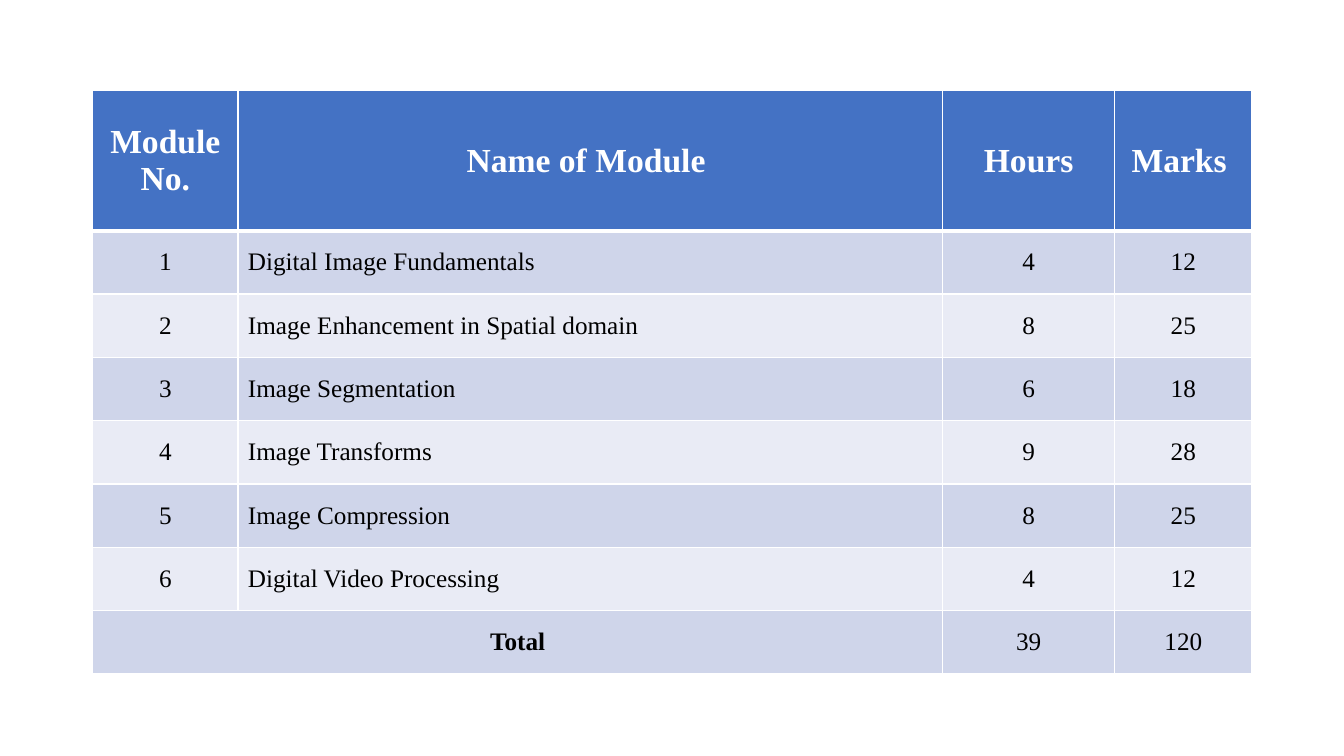
from lxml.etree import SubElement
from pptx import Presentation
from pptx.dml.color import RGBColor
from pptx.enum.text import MSO_ANCHOR, PP_ALIGN
from pptx.oxml.ns import qn
from pptx.util import Pt

COLORS = {"head": "4472C4", "odd": "CFD5EA", "even": "E9EBF5",
          "white": "FFFFFF", "black": "000000"}

HEADS = ["Module No.", "Name of Module ", "Hours", "Marks "]
MODULES = [
    ("Digital Image Fundamentals", 4, 12),
    ("Image Enhancement in Spatial domain", 8, 25),
    ("Image Segmentation", 6, 18),
    ("Image Transforms", 9, 28),
    ("Image Compression", 8, 25),
    ("Digital Video Processing", 4, 12),
]
TOTAL = ["Total", "", 39, 120]
WIDTHS = [103.7, 503.3, 123.1, 97.9]
HEAD_H, ROW_H = 100, 45.25


class Deck:
    font = "Times New Roman"

    def __init__(self, slide):
        self.slide = slide

    def color(self, name):
        return RGBColor.from_string(COLORS[name])

    def table(self, left, top, widths, heights):
        frame = self.slide.shapes.add_table(
            len(heights), len(widths), Pt(left), Pt(top),
            Pt(sum(widths)), Pt(sum(heights)))
        grid = frame.table
        for col, width in zip(grid.columns, widths):
            col.width = Pt(width)
        for row, height in zip(grid.rows, heights):
            row.height = Pt(height)
        return grid

    def borders(self, cell, top=1, bottom=1):
        props = cell._tc.get_or_add_tcPr()
        for side, width in zip("LRTB", (1, 1, top, bottom)):
            line = SubElement(props, qn(f"a:ln{side}"), w=str(Pt(width)))
            fill = SubElement(line, qn("a:solidFill"))
            SubElement(fill, qn("a:srgbClr"), val=COLORS["white"])

    def cell(self, cell, text, fill, ink="black", size=18, bold=False,
             align=PP_ALIGN.CENTER):
        cell.fill.solid()
        cell.fill.fore_color.rgb = self.color(fill)
        cell.vertical_anchor = MSO_ANCHOR.MIDDLE
        para = cell.text_frame.paragraphs[0]
        para.alignment = align
        if text == "":
            return
        run = para.add_run()
        run.text = str(text)
        run.font.name = self.font
        run.font.size = Pt(size)
        run.font.bold = bold
        run.font.color.rgb = self.color(ink)


def main():
    prs = Presentation()
    prs.slide_width, prs.slide_height = Pt(960), Pt(540)
    deck = Deck(prs.slides.add_slide(prs.slide_layouts[6]))

    # Table grid
    rows = [HEADS, *([no, *mod] for no, mod in enumerate(MODULES, 1)), TOTAL]
    heights = [HEAD_H] + [ROW_H] * (len(rows) - 1)
    grid = deck.table(66.25, 64.8, WIDTHS, heights)
    last = len(rows) - 1
    grid.cell(last, 0).merge(grid.cell(last, 1))

    # Header, banded module rows and total
    for r, row in enumerate(rows):
        for c, text in enumerate(row):
            cell = grid.cell(r, c)
            deck.borders(cell, top=3 if r == 1 else 1,
                         bottom=3 if r == 0 else 1)
            if r == 0:
                deck.cell(cell, text, "head", "white", 24, True)
            else:
                left = c == 1 and r < last
                deck.cell(cell, text, "odd" if r % 2 else "even",
                          bold=text == "Total",
                          align=PP_ALIGN.LEFT if left else PP_ALIGN.CENTER)

    prs.save("out.pptx")


if __name__ == "__main__":
    main()
